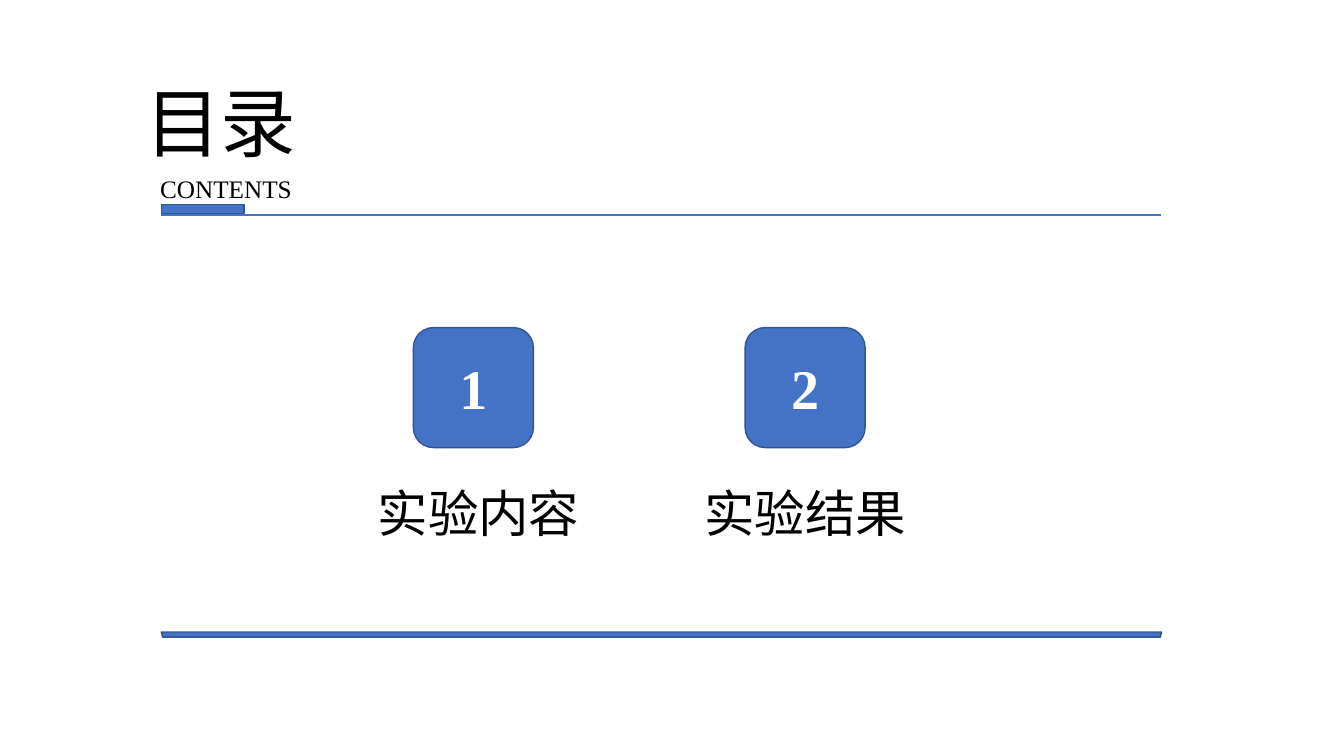
from pptx import Presentation
from pptx.dml.color import RGBColor
from pptx.enum.shapes import MSO_CONNECTOR, MSO_SHAPE as SHAPE
from pptx.enum.text import MSO_ANCHOR as ANCHOR, MSO_AUTO_SIZE as AUTO, PP_ALIGN as ALIGN
from pptx.oxml.ns import qn
from pptx.util import Pt
from lxml import etree

PX = 9144  # 100 px to the inch
BLUE = RGBColor(0x44, 0x72, 0xC4)
EDGE = RGBColor(0x32, 0x54, 0x91)
BLACK = RGBColor(0, 0, 0)
WHITE = RGBColor(255, 255, 255)
LEFT, RIGHT = 160, 1152


def add_block(kind, *box):
    sp = s.shapes.add_shape(kind, *[v * PX for v in box])
    sp.shadow.inherit = False
    sp.fill.solid()
    sp.fill.fore_color.rgb = BLUE
    sp.line.color.rgb = EDGE
    sp.line.width = Pt(1)
    return sp


def write(sp, text, size, color=BLACK, align=ALIGN.LEFT, anchor=ANCHOR.TOP, bold=False):
    tf = sp.text_frame
    tf.text = text
    tf.word_wrap = True
    tf.vertical_anchor = anchor
    p = tf.paragraphs[0]
    p.alignment = align
    font = p.runs[0].font
    font.name = "Times New Roman"
    font.size = Pt(size)
    font.bold = bold
    font.color.rgb = color
    return tf


prs = Presentation()
prs.slide_width, prs.slide_height = 1333 * PX, 750 * PX
s = prs.slides.add_slide(prs.slide_layouts[5])

# Heading
title = s.shapes.title
title.left, title.top, title.width, title.height = [v * PX for v in (134, 70, 217, 101)]
write(title, "目录", 54).auto_size = AUTO.SHAPE_TO_FIT_TEXT
subtitle = s.shapes.add_textbox(*[v * PX for v in (149, 167, 152, 40)])
write(subtitle, "CONTENTS", 18).word_wrap = False

# Rule under the heading, with its tab
rule = s.shapes.add_connector(MSO_CONNECTOR.STRAIGHT, LEFT * PX, 213 * PX, RIGHT * PX, 213 * PX)
rule.line.color.rgb = BLUE
rule.line.width = Pt(1.5)
etree.SubElement(rule._element.spPr, qn("a:effectLst"))
add_block(SHAPE.RECTANGLE, LEFT, 203, 82, 9)

# Numbered sections
sections = [("实验内容", 410, 362), ("实验结果", 739, 686)]
for number, (name, tile_x, label_x) in enumerate(sections, 1):
    tile = add_block(SHAPE.ROUNDED_RECTANGLE, tile_x, 325, 119, 119)
    write(tile, str(number), 40, WHITE, ALIGN.CENTER, ANCHOR.MIDDLE, True)
    label = s.shapes.add_textbox(*[v * PX for v in (label_x, 473, 225, 71)])
    write(label, name, 36, align=ALIGN.CENTER)

# Bottom bar, wide side up
bar = add_block(SHAPE.TRAPEZOID, LEFT, 627, RIGHT - LEFT, 5)
bar.rotation = 180

prs.save("out.pptx")
